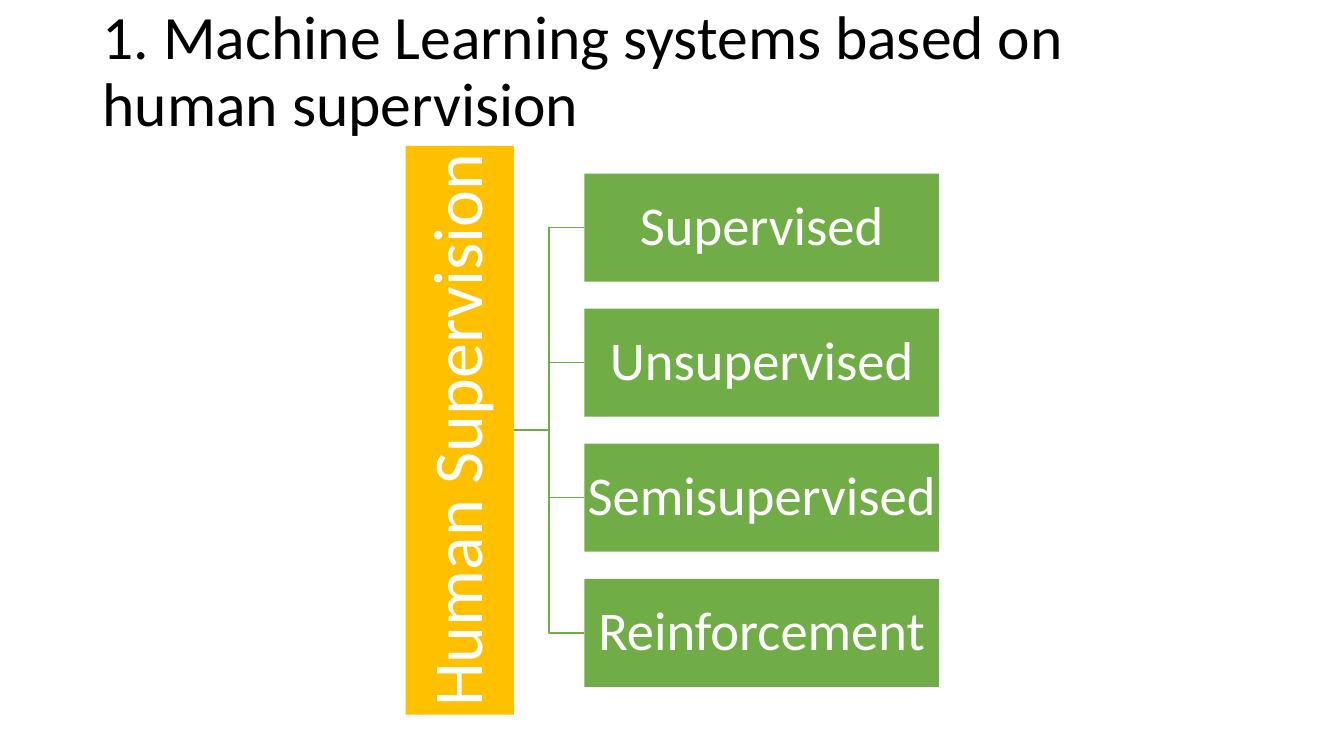
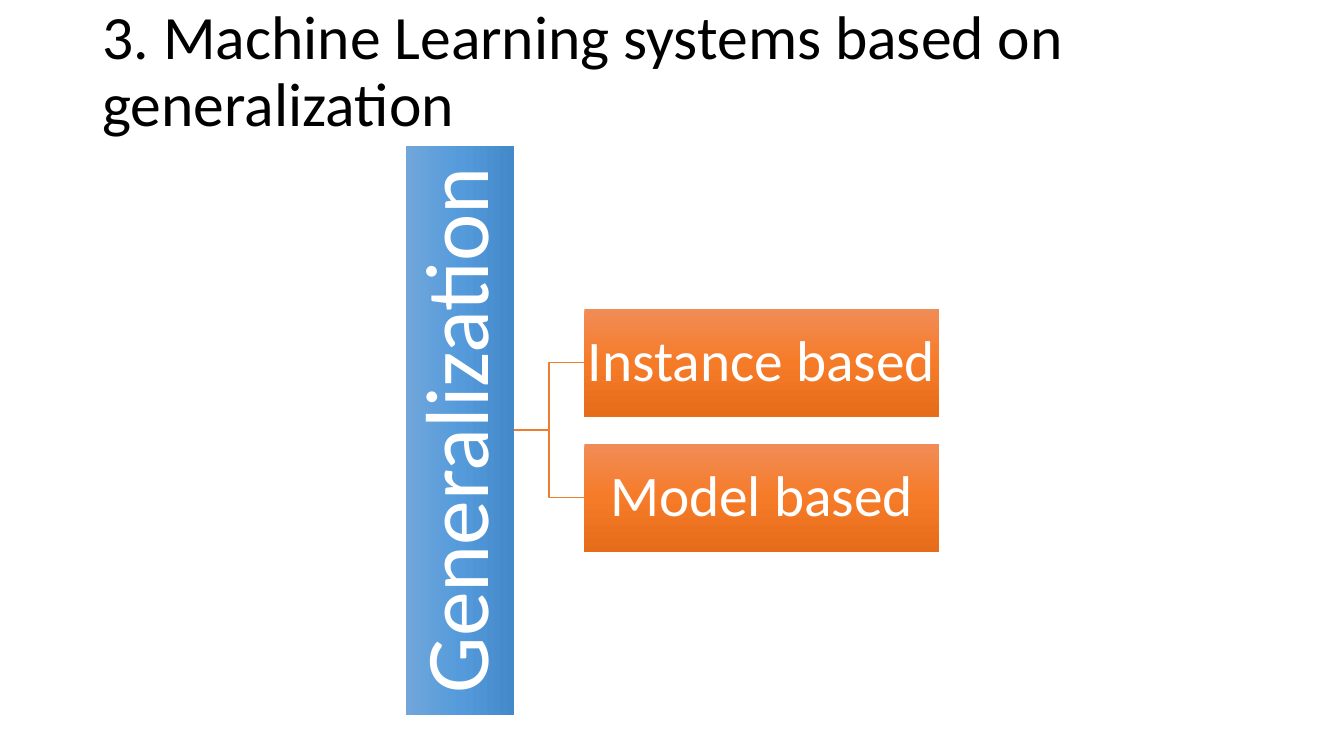
import collections
import copy

import lxml.etree
import pptx
import pptx.dml.color
import pptx.enum.shapes
import pptx.enum.text
import pptx.oxml.ns
import pptx.util

Pt = pptx.util.Pt
ALIGN = pptx.enum.text.PP_ALIGN
Box = collections.namedtuple("Box", "left top width height")

TITLE_BOX = Box(66, 0, 828, 104.4)
TREE_BOX = Box(289.8, 104.2, 380.9, 406.2)
ROOT_WIDTH = 77.2
BRANCH_WIDTH = 253.2
BRANCH_GAP = ROOT_WIDTH / 4
FRAME_FORMAT = {
    "word_wrap": True,
    "auto_size": pptx.enum.text.MSO_AUTO_SIZE.NONE,
    "vertical_anchor": pptx.enum.text.MSO_ANCHOR.MIDDLE,
}
TIGHT_MARGINS = dict.fromkeys(
    ("margin_left", "margin_top", "margin_right", "margin_bottom"), Pt(2))

TOPICS = [
    {
        "title": "1. Machine Learning systems based on human supervision",
        "root": ("Human Supervision", 50, ["FFC000"]),
        "branches": ["Supervised", "Unsupervised", "Semisupervised", "Reinforcement"],
        "branch_size": 39,
        "branch_fill": ["70AD47"],
        "link": "70AD47",
    },
    {
        "title": "3. Machine Learning systems based on generalization",
        "root": ("Generalization", 64, ["71A6DB", "559BDB", "448ACA"]),
        "branches": ["Instance based", "Model based"],
        "branch_size": 41,
        "branch_fill": ["F18C57", "F67B28", "E56C19"],
        "link": "ED7D31",
    },
]


def colour(value):
    """Turn a hex string into a colour."""
    return pptx.dml.color.RGBColor.from_string(value)


def apply_format(target, values):
    """Set every attribute named in a dict of format values."""
    for name, value in values.items():
        setattr(target, name, value)


def place(shape, box):
    """Move and size a shape to a box given in points."""
    apply_format(shape, {side: Pt(value) for side, value in box._asdict().items()})


def write(shape, text, size, ink, align, margins):
    """Write one formatted paragraph into a shape."""
    frame = shape.text_frame
    apply_format(frame, {**FRAME_FORMAT, **margins})
    frame.text = text
    paragraph = frame.paragraphs[0]
    apply_format(paragraph, {"alignment": align, "line_spacing": 0.9})
    apply_format(paragraph.font, {"name": "Calibri", "size": Pt(size)})
    paragraph.font.color.rgb = colour(ink)


def paint(shape, shades):
    """Fill a shape with one shade or a downward gradient of three."""
    if len(shades) == 1:
        shape.fill.solid()
        shape.fill.fore_color.rgb = colour(shades[0])
        return
    shape.fill.gradient()
    shape.fill.gradient_angle = 270
    stops = shape._element.spPr.find(".//" + pptx.oxml.ns.qn("a:gsLst"))
    stops.insert(1, copy.deepcopy(stops[0]))
    for index, (stop, shade) in enumerate(zip(shape.fill.gradient_stops, shades)):
        stop.position = index / (len(shades) - 1)
        stop.color.rgb = colour(shade)


def add_node(slide, box, text, size, shades, rotation=0):
    """Add one labelled rectangle of the tree."""
    node = slide.shapes.add_shape(
        pptx.enum.shapes.MSO_SHAPE.RECTANGLE, *map(Pt, box))
    node.rotation = rotation
    node.shadow.inherit = False
    node.line.fill.background()
    paint(node, shades)
    write(node, text, size, "FFFFFF", ALIGN.CENTER, TIGHT_MARGINS)


def add_link(slide, start, end, shade):
    """Add an elbow line between two points."""
    link = slide.shapes.add_connector(
        pptx.enum.shapes.MSO_CONNECTOR.ELBOW, *map(Pt, start + end))
    link.line.color.rgb = colour(shade)
    link.line.width = Pt(1)
    lxml.etree.SubElement(link._element.spPr, pptx.oxml.ns.qn("a:effectLst"))


def add_title(slide, box, text):
    """Fill and place the title placeholder."""
    place(slide.shapes.title, box)
    write(slide.shapes.title, text, 44, "000000", ALIGN.LEFT, {})


def add_tree(slide, box, topic):
    """Draw the upright root, its branches and the links between them."""
    middle = box.top + box.height / 2
    root_right = box.left + ROOT_WIDTH
    branch_left = box.left + box.width - BRANCH_WIDTH
    pitch = ROOT_WIDTH + BRANCH_GAP
    first = middle - pitch * (len(topic["branches"]) - 1) / 2
    centres = [first + pitch * row for row in range(len(topic["branches"]))]
    for centre in centres:
        add_link(slide, (root_right, middle), (branch_left, centre), topic["link"])
    root_box = Box(box.left + (ROOT_WIDTH - box.height) / 2,
                   middle - ROOT_WIDTH / 2, box.height, ROOT_WIDTH)
    add_node(slide, root_box, *topic["root"], rotation=270)
    for label, centre in zip(topic["branches"], centres):
        branch_box = Box(branch_left, centre - ROOT_WIDTH / 2, BRANCH_WIDTH, ROOT_WIDTH)
        add_node(slide, branch_box, label, topic["branch_size"], topic["branch_fill"])


def main():
    """Build one slide for each topic and save the deck."""
    deck = pptx.Presentation()
    apply_format(deck, {"slide_width": Pt(960), "slide_height": Pt(540)})
    for topic in TOPICS:
        slide = deck.slides.add_slide(deck.slide_layouts[5])
        add_title(slide, TITLE_BOX, topic["title"])
        add_tree(slide, TREE_BOX, topic)
    deck.save("out.pptx")


if __name__ == "__main__":
    main()
